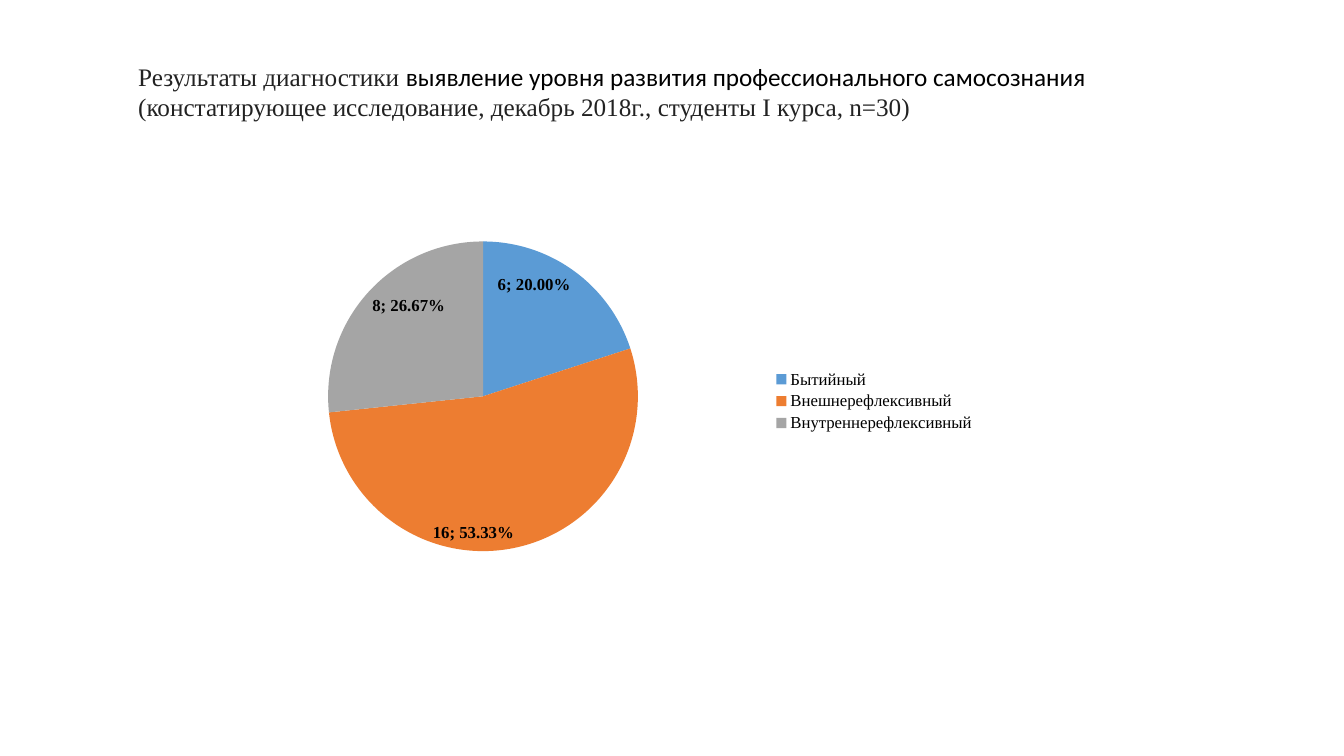
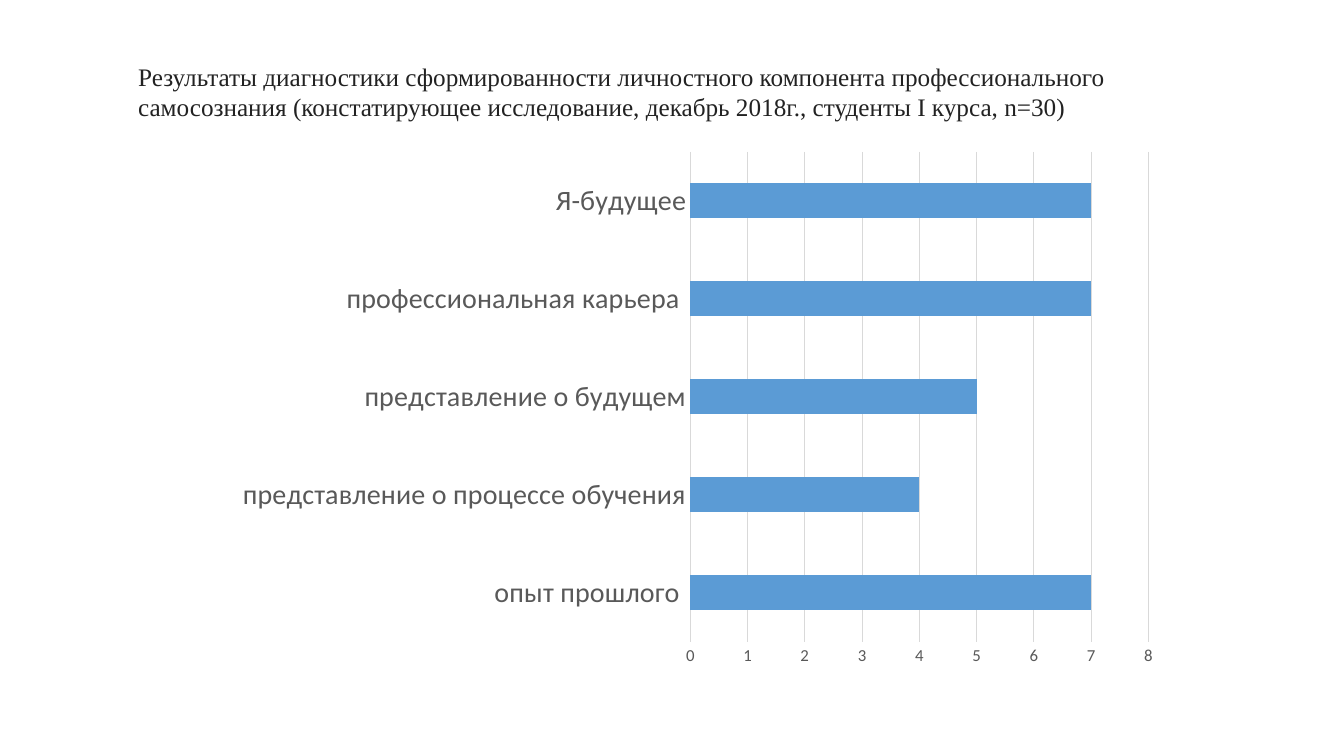
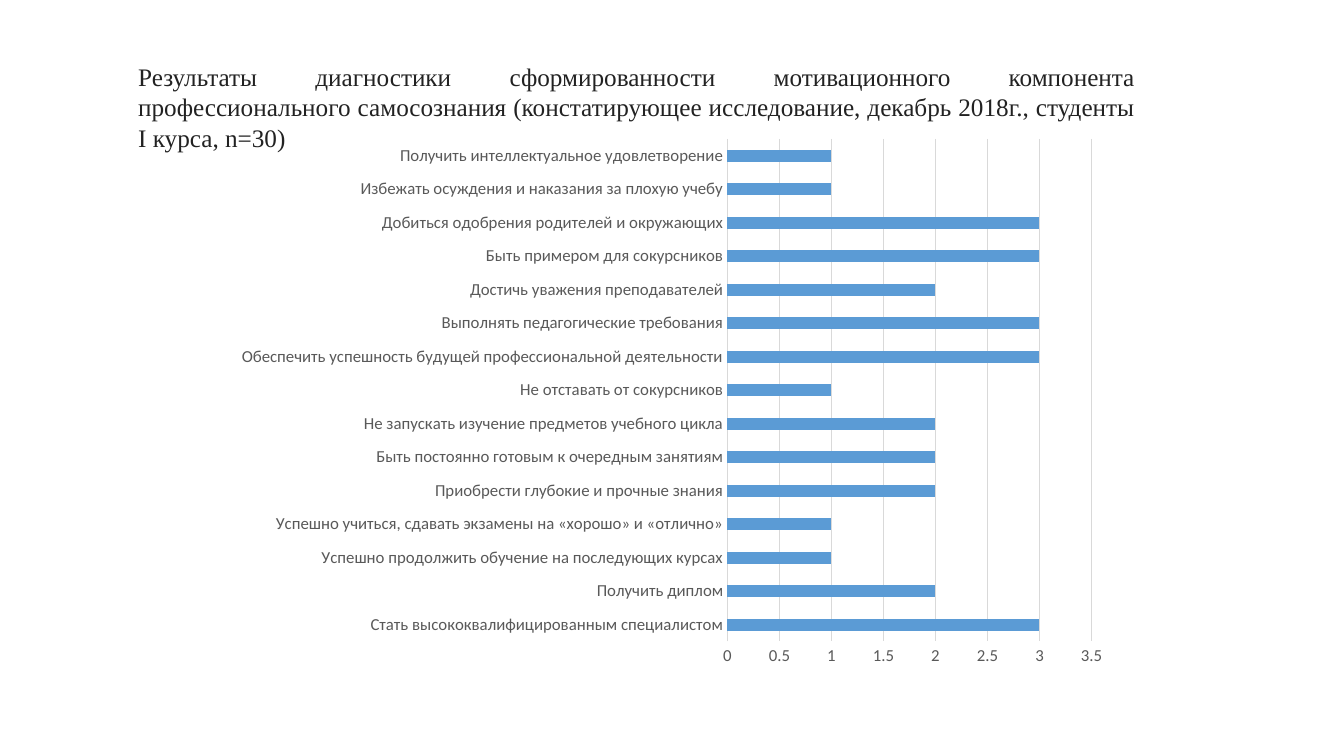
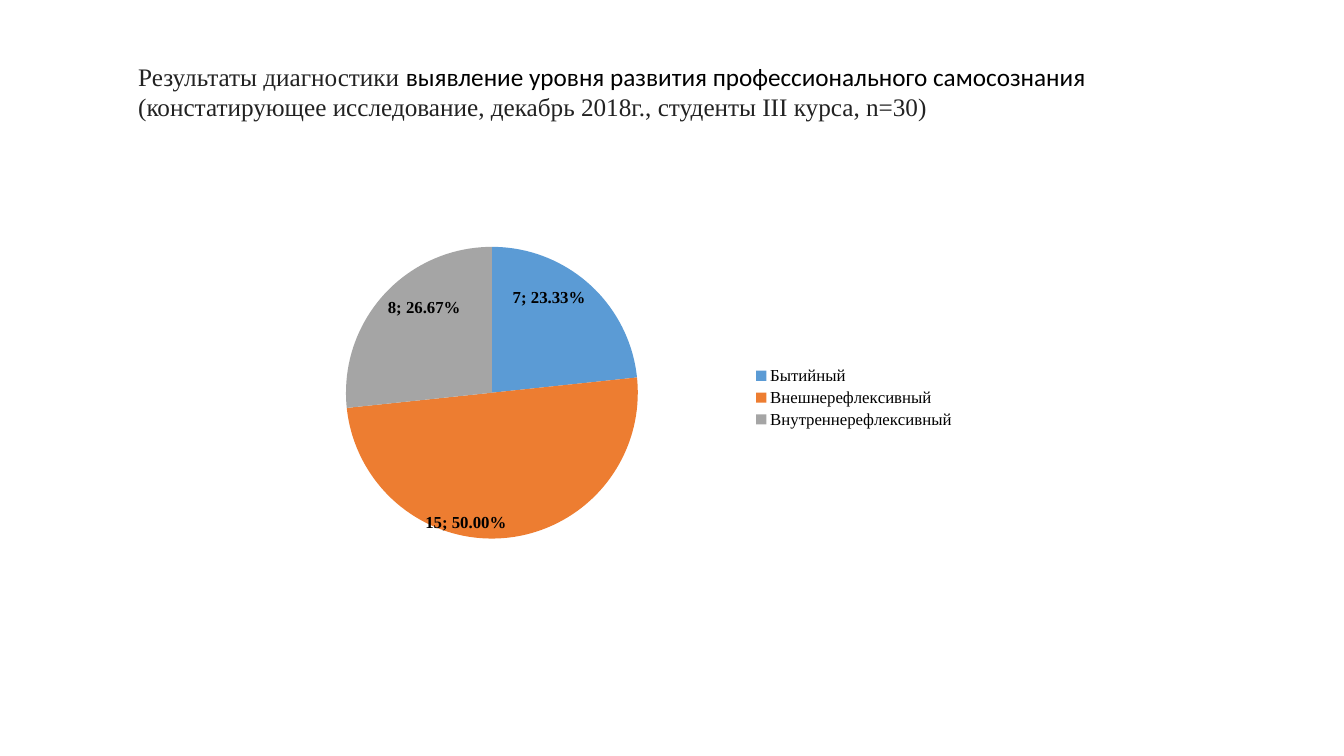
from lxml import etree
from pptx import Presentation
from pptx.chart.data import CategoryChartData
from pptx.dml.color import RGBColor
from pptx.enum.chart import XL_CHART_TYPE, XL_LABEL_POSITION, XL_LEGEND_POSITION, XL_TICK_MARK
from pptx.enum.text import MSO_ANCHOR, MSO_AUTO_SIZE, PP_ALIGN
from pptx.oxml import parse_xml
from pptx.oxml.ns import nsdecls, qn
from pptx.util import Inches, Pt

BLACK = RGBColor(0x00, 0x00, 0x00)
INK = RGBColor(0x22, 0x22, 0x22)
AXIS_TEXT = RGBColor(0x59, 0x59, 0x59)
GRID = RGBColor(0xD9, 0xD9, 0xD9)
BLUE = RGBColor(0x5B, 0x9B, 0xD5)
ORANGE = RGBColor(0xED, 0x7D, 0x31)
GRAY = RGBColor(0xA5, 0xA5, 0xA5)

SERIF = ("Times New Roman", INK)
SANS = ("Calibri", BLACK)
PIE_PLOT = {"x": 0.057, "y": 0.044, "w": 0.444, "h": 0.889}


def level_title(course):
    return [
        ("Результаты диагностики ", SERIF),
        ("выявление уровня развития профессионального самосознания ", SANS),
        (f"(констатирующее исследование, декабрь 2018г., студенты {course} курса, n=30)", SERIF),
    ]


def component_title(component):
    return [(f"Результаты диагностики сформированности {component} компонента "
             "профессионального самосознания (констатирующее исследование, "
             "декабрь 2018г., студенты I курса, n=30)", SERIF)]


LEVELS = ["Бытийный", "Внешнерефлексивный", "Внутреннерефлексивный"]
PERSONAL = [
    ("опыт прошлого ", 7),
    ("представление о процессе обучения", 4),
    ("представление о будущем", 5),
    ("профессиональная карьера ", 7),
    ("Я-будущее", 7),
]
MOTIVES = [
    ("Стать высококвалифицированным специалистом", 3),
    ("Получить диплом", 2),
    ("Успешно продолжить обучение на последующих курсах", 1),
    ("Успешно учиться, сдавать экзамены на «хорошо» и «отлично»", 1),
    ("Приобрести глубокие и прочные знания", 2),
    ("Быть постоянно готовым к очередным занятиям", 2),
    ("Не запускать изучение предметов учебного цикла", 2),
    ("Не отставать от сокурсников", 1),
    ("Обеспечить успешность будущей профессиональной деятельности", 3),
    ("Выполнять педагогические требования", 3),
    ("Достичь уважения преподавателей", 2),
    ("Быть примером для сокурсников", 3),
    ("Добиться одобрения родителей и окружающих", 3),
    ("Избежать осуждения и наказания за плохую учебу", 1),
    ("Получить интеллектуальное удовлетворение", 1),
]

# A slide with axis settings holds a bar chart, one without holds a pie.
SLIDES = [
    {"title": level_title("I"), "box": (2.86, 1.89, 6.92, 4.18),
     "data": list(zip(LEVELS, (6, 16, 8)))},
    {"title": component_title("личностного"), "box": (2.22, 1.4, 9.4, 5.31),
     "data": PERSONAL, "axis": {"label_size": 20, "maximum": 8, "step": 1}},
    {"title": component_title("мотивационного"), "box": (2.22, 1.27, 8.89, 5.44),
     "data": MOTIVES, "axis": {"label_size": 12, "maximum": 3.5, "step": 0.5},
     "align": PP_ALIGN.JUSTIFY, "title_height": 1.01},
    {"title": level_title("III"), "box": (3.06, 1.86, 6.52, 4.17),
     "data": list(zip(LEVELS, (7, 15, 8)))},
]


def set_format(obj, **values):
    for name, value in values.items():
        setattr(obj, name, value)


def set_font(font, color, **values):
    set_format(font, **values)
    font.color.rgb = color


def add_title(s, runs, align=PP_ALIGN.LEFT, height=0.71):
    title = s.shapes.title
    set_format(title, left=Inches(1.27), top=Inches(0.56),
               width=Inches(10.09), height=Inches(height))
    tf = title.text_frame
    set_format(tf, word_wrap=True, auto_size=MSO_AUTO_SIZE.SHAPE_TO_FIT_TEXT,
               vertical_anchor=MSO_ANCHOR.TOP)
    p = tf.paragraphs[0]
    set_format(p, alignment=align, line_spacing=1.0)
    for text, (name, color) in runs:
        r = p.add_run()
        r.text = text
        set_font(r.font, color, name=name, size=Pt(18))


def add_chart(s, kind, box, data):
    chart_data = CategoryChartData()
    chart_data.categories = [label for label, _ in data]
    chart_data.add_series("Series 1", [value for _, value in data])
    chart = s.shapes.add_chart(kind, *map(Inches, box), chart_data).chart
    set_format(chart, has_title=False, has_legend=False)
    return chart


def fix_plot_area(chart, layout):
    """Pin the inner plot area to fractions of the chart's size."""
    area = chart._chartSpace.find(".//" + qn("c:plotArea"))
    for old in area.findall(qn("c:layout")):
        area.remove(old)
    sizes = "".join(f'<c:{key} val="{value}"/>' for key, value in layout.items())
    area.insert(0, parse_xml(
        f'<c:layout {nsdecls("c")}><c:manualLayout><c:layoutTarget val="inner"/>'
        f'<c:xMode val="edge"/><c:yMode val="edge"/>{sizes}</c:manualLayout></c:layout>'))


def add_pie(s, box, data):
    chart = add_chart(s, XL_CHART_TYPE.PIE, box, data)
    set_font(chart.font, BLACK, name="Times New Roman", size=Pt(12))
    chart.has_legend = True
    set_format(chart.legend, position=XL_LEGEND_POSITION.RIGHT, include_in_layout=False)
    fix_plot_area(chart, PIE_PLOT)

    plot = chart.plots[0]
    for i, color in enumerate((BLUE, ORANGE, GRAY)):
        fill = plot.series[0].points[i].format.fill
        fill.solid()
        fill.fore_color.rgb = color

    labels = plot.series[0].data_labels
    set_format(labels, show_value=True, show_percentage=True, number_format="0.00%",
               number_format_is_linked=False, position=XL_LABEL_POSITION.INSIDE_END)
    set_font(labels.font, BLACK, name="Times New Roman", size=Pt(12), bold=True)
    separator = etree.Element(qn("c:separator"))
    separator.text = "; "
    labels._element.find(qn("c:showBubbleSize")).addnext(separator)


def add_bars(s, box, data, label_size, maximum, step):
    chart = add_chart(s, XL_CHART_TYPE.BAR_CLUSTERED, box, data)
    set_font(chart.font, BLACK, name="Calibri", size=Pt(10))
    plot = chart.plots[0]
    set_format(plot, gap_width=182, vary_by_categories=False)
    fill = plot.series[0].format.fill
    fill.solid()
    fill.fore_color.rgb = BLUE

    cat_axis, val_axis = chart.category_axis, chart.value_axis
    for axis, size in ((cat_axis, label_size), (val_axis, 12)):
        set_format(axis, major_tick_mark=XL_TICK_MARK.NONE, minor_tick_mark=XL_TICK_MARK.NONE)
        set_font(axis.tick_labels.font, AXIS_TEXT, name="Calibri", size=Pt(size))
    set_format(val_axis, minimum_scale=0, maximum_scale=maximum, major_unit=step,
               has_major_gridlines=True)
    val_axis.format.line.fill.background()
    for line in (cat_axis.format.line, val_axis.major_gridlines.format.line):
        line.width = Pt(0.75)
        line.color.rgb = GRID


def main():
    prs = Presentation()
    set_format(prs, slide_width=Inches(13.33), slide_height=Inches(7.5))
    title_only = prs.slide_layouts[5]
    for item in SLIDES:
        s = prs.slides.add_slide(title_only)
        add_title(s, item["title"], item.get("align", PP_ALIGN.LEFT),
                  item.get("title_height", 0.71))
        if "axis" in item:
            add_bars(s, item["box"], item["data"], **item["axis"])
        else:
            add_pie(s, item["box"], item["data"])
    prs.save("out.pptx")


if __name__ == "__main__":
    main()
